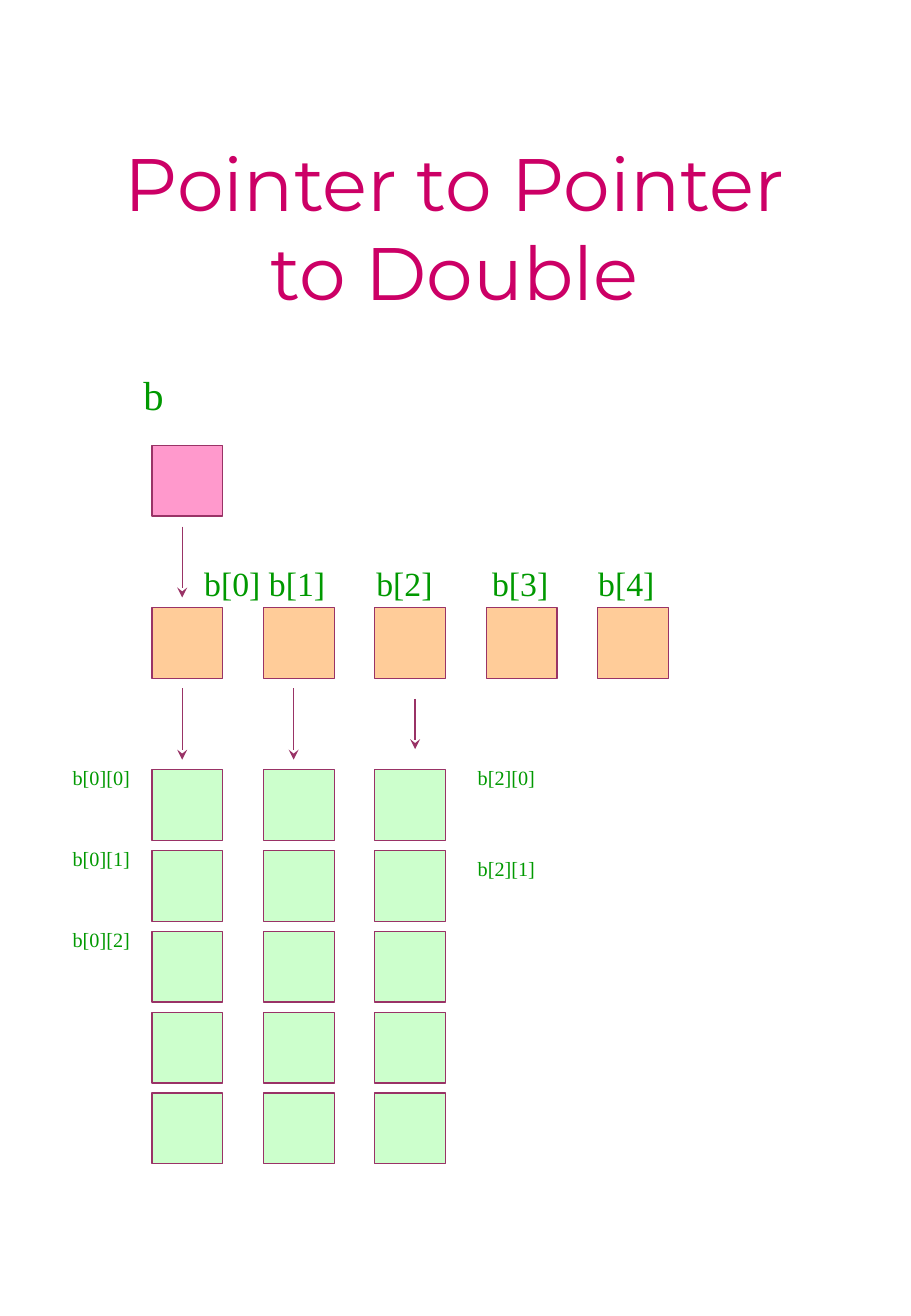
from dataclasses import dataclass

from lxml import etree
from pptx import Presentation
from pptx.dml.color import RGBColor
from pptx.enum.shapes import MSO_CONNECTOR, MSO_SHAPE
from pptx.enum.text import MSO_ANCHOR, MSO_AUTO_SIZE, PP_ALIGN
from pptx.oxml.ns import qn
from pptx.slide import Slide
from pptx.util import Cm, Pt

RECTANGLE = MSO_SHAPE.RECTANGLE
STRAIGHT = MSO_CONNECTOR.STRAIGHT
MIDDLE = MSO_ANCHOR.MIDDLE
GROW = MSO_AUTO_SIZE.SHAPE_TO_FIT_TEXT
LEFT = PP_ALIGN.LEFT
CENTER = PP_ALIGN.CENTER


@dataclass(frozen=True)
class Theme:
    title_font: str = "Montserrat"
    label_font: str = "Times New Roman"
    title_color: str = "CC0066"
    label_color: str = "009900"
    outline: str = "993366"
    pointer_fill: str = "FF99CC"
    row_fill: str = "FFCC99"
    value_fill: str = "CCFFCC"
    title_size: float = 44
    pointer_size: float = 24
    row_size: float = 20
    value_size: float = 12
    line_width: float = 0.75


THEME = Theme()


@dataclass(frozen=True)
class CellBlock:
    """A grid of equal squares; all lengths in centimetres."""
    top: float
    columns: int
    rows: int
    fill: str


@dataclass(frozen=True)
class Arrow:
    x: float
    top: float
    bottom: float


@dataclass(frozen=True)
class Label:
    text: str
    left: float
    top: float
    width: float
    height: float
    size: float
    tabs: tuple[float, ...] = ()


# Grid of the memory cells
GRID_LEFT, CELL_SIDE = 3.18, 1.48
COLUMN_STEP, ROW_STEP = 2.33, 1.69

BLOCKS = (
    CellBlock(9.31, 1, 1, THEME.pointer_fill),
    CellBlock(12.7, 5, 1, THEME.row_fill),
    CellBlock(16.09, 3, 5, THEME.value_fill),
)

ARROWS = (
    Arrow(3.81, 11.01, 12.49),
    Arrow(3.81, 14.39, 15.88),
    Arrow(6.14, 14.39, 15.88),
    Arrow(8.68, 14.61, 15.66),
)

LABELS = (
    Label("b", 2.75, 7.62, 2.12, 1.28, THEME.pointer_size),
    Label("b[0] b[1]\tb[2]\tb[3]\tb[4]", 4.02, 11.64, 10.37, 1.11,
          THEME.row_size, (3.6, 6.02, 8.24)),
    *(Label(f"b[0][{index}]", 1.27, 15.88 + index * ROW_STEP, 2.2, 0.76,
            THEME.value_size) for index in range(3)),
    *(Label(f"b[2][{index}]", 9.74, 15.88 + index * 1.9, 2.33, 0.76,
            THEME.value_size) for index in range(2)),
)


def write_text(page: Slide, label: Label, font: str, color: str,
               align: PP_ALIGN = LEFT):
    box = page.shapes.add_textbox(Cm(label.left), Cm(label.top),
                                  Cm(label.width), Cm(label.height))
    frame = box.text_frame
    frame.word_wrap = True
    frame.text = label.text
    para = frame.paragraphs[0]
    if label.tabs:
        tab_list = etree.SubElement(para._p.get_or_add_pPr(), qn("a:tabLst"))
        for stop in label.tabs:
            etree.SubElement(tab_list, qn("a:tab"), pos=str(Cm(stop)), algn="l")
    para.alignment = align
    for span in para.runs:
        span.font.name = font
        span.font.size = Pt(label.size)
        span.font.color.rgb = RGBColor.from_string(color)
    return frame


def draw_block(page: Slide, block: CellBlock) -> None:
    for column in range(block.columns):
        for row in range(block.rows):
            cell = page.shapes.add_shape(
                RECTANGLE, Cm(GRID_LEFT + column * COLUMN_STEP),
                Cm(block.top + row * ROW_STEP), Cm(CELL_SIDE), Cm(CELL_SIDE))
            cell.shadow.inherit = False
            cell.fill.solid()
            cell.fill.fore_color.rgb = RGBColor.from_string(block.fill)
            cell.line.color.rgb = RGBColor.from_string(THEME.outline)
            cell.line.width = Pt(THEME.line_width)


def draw_arrow(page: Slide, arrow: Arrow) -> None:
    line = page.shapes.add_connector(STRAIGHT, Cm(arrow.x), Cm(arrow.top),
                                     Cm(arrow.x), Cm(arrow.bottom))
    line.line.color.rgb = RGBColor.from_string(THEME.outline)
    line.line.width = Pt(THEME.line_width)
    etree.SubElement(line.line._get_or_add_ln(), qn("a:tailEnd"), type="stealth")
    etree.SubElement(line._element.spPr, qn("a:effectLst"))


def main() -> None:
    deck = Presentation()
    deck.slide_width, deck.slide_height = Cm(19.05), Cm(27.51)
    page = deck.slides.add_slide(deck.slide_layouts[6])

    # Title
    title = Label("Pointer to Pointer to Double", 1.42, 2.44, 16.18, 4.6,
                  THEME.title_size)
    title_frame = write_text(page, title, THEME.title_font, THEME.title_color,
                             CENTER)
    title_frame.vertical_anchor = MIDDLE

    # Cells and the pointers between them
    for block in BLOCKS:
        draw_block(page, block)
    for arrow in ARROWS:
        draw_arrow(page, arrow)

    # Names of the cells
    for label in LABELS:
        frame = write_text(page, label, THEME.label_font, THEME.label_color)
        frame.auto_size = GROW

    deck.save("out.pptx")


if __name__ == "__main__":
    main()
